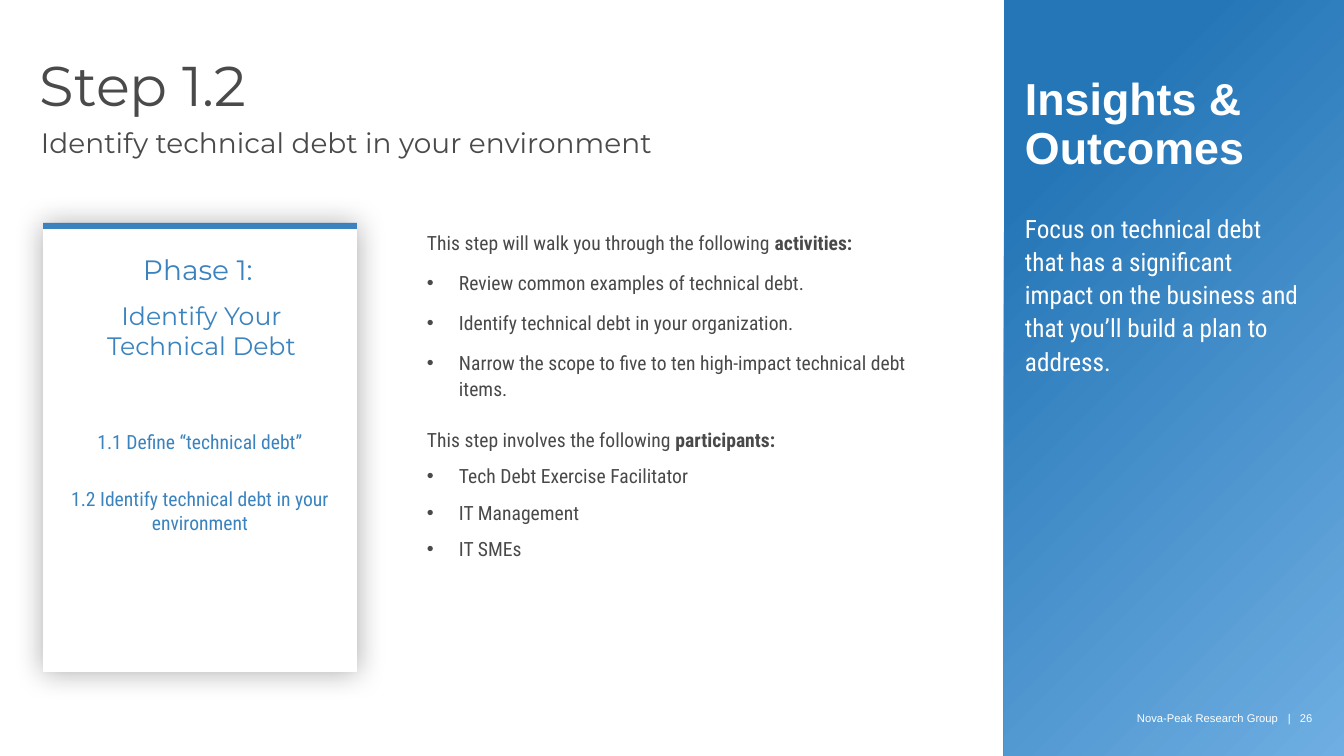
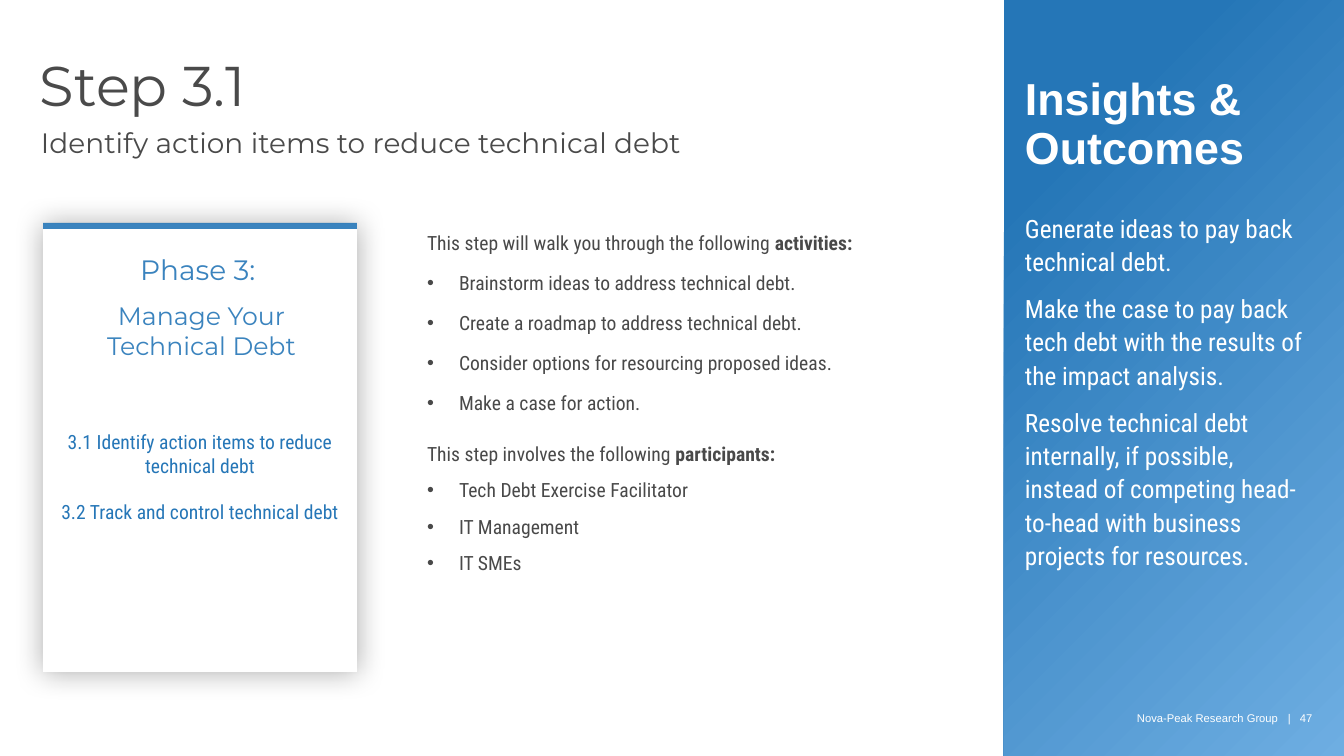
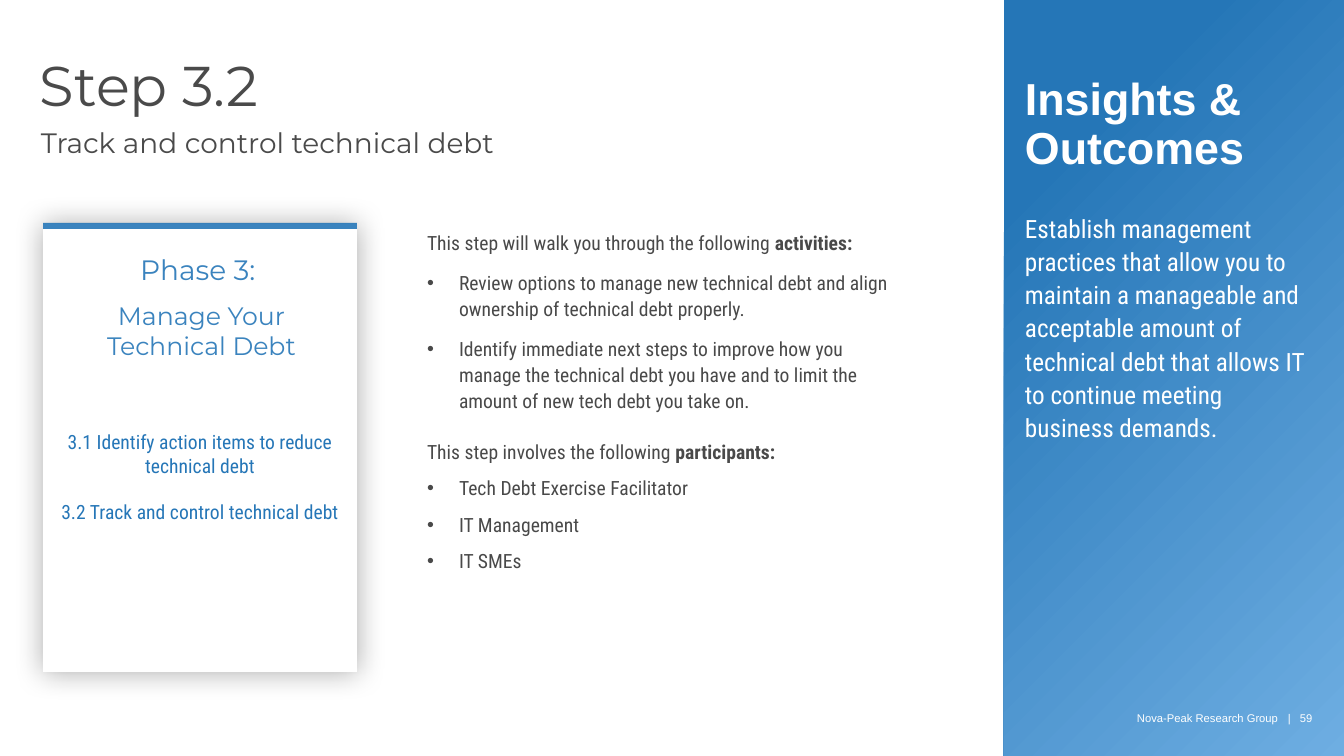
import dataclasses

import lxml.etree
import pptx
import pptx.dml.color
import pptx.enum.shapes
import pptx.enum.text
import pptx.oxml.ns
import pptx.util

EMU_PER_PX = 9075
LEFT = pptx.enum.text.PP_ALIGN.LEFT
CENTER = pptx.enum.text.PP_ALIGN.CENTER


@dataclasses.dataclass(frozen=True)
class Theme:
    # Colours
    blue: str = "2576B7"
    light_blue: str = "6EAEE2"
    soft_blue: str = "3A83BE"
    heading: str = "4A4A4A"
    body: str = "494949"
    white: str = "FFFFFF"
    shadow: str = "000000"
    # Fonts
    display_font: str = "Montserrat"
    text_font: str = "Roboto Condensed"
    panel_font: str = "Arial"
    # Type sizes in points
    title_size: int = 40
    panel_title_size: int = 32
    subtitle_size: int = 20
    lead_size: int = 18
    body_size: int = 14
    footer_size: int = 8


THEME = Theme()


@dataclasses.dataclass(frozen=True)
class TextStyle:
    font: str
    size: int
    color: str
    bold: bool = False
    opacity: int = 100
    align: object = LEFT
    line_spacing: object = 1.0
    before: float = 0
    after: float = 0
    bullet: bool = False
    tabs: tuple = ()


TITLE = TextStyle(THEME.display_font, THEME.title_size, THEME.heading, line_spacing=0.9)
SUBTITLE = dataclasses.replace(TITLE, size=THEME.subtitle_size)
PANEL_TITLE = TextStyle(THEME.panel_font, THEME.panel_title_size, THEME.white,
                        bold=True, line_spacing=0.9)
PANEL_TEXT = TextStyle(THEME.text_font, THEME.lead_size, THEME.white,
                       line_spacing=1.1, before=10)
PHASE = TextStyle(THEME.display_font, THEME.subtitle_size, THEME.blue, opacity=90,
                  align=CENTER, line_spacing=0.8)
PHASE_NAME = dataclasses.replace(PHASE, size=THEME.lead_size, line_spacing=1.0, before=10)
TOPIC = TextStyle(THEME.text_font, THEME.body_size, THEME.blue, align=CENTER)
INTRO = TextStyle(THEME.text_font, THEME.body_size, THEME.body, line_spacing=1.1)
SECOND_INTRO = dataclasses.replace(INTRO, before=18)
ACTIVITY = dataclasses.replace(INTRO, before=10, bullet=True)
PARTICIPANT = dataclasses.replace(ACTIVITY, line_spacing=pptx.util.Pt(16))
FOOTER = TextStyle(THEME.panel_font, THEME.footer_size, THEME.white, tabs=(151, 163))


@dataclasses.dataclass(frozen=True)
class Step:
    number: str
    subtitle: str
    phase: str
    phase_name: str
    topics: tuple
    activities: tuple
    insights: tuple
    page: int
    body_width: int = 481
    topic_color: str = THEME.blue
    topic_gap: float = 16.4


PARTICIPANTS = ("Tech Debt Exercise Facilitator", "IT Management", "IT SMEs")
MANAGE_TOPICS = ("3.1 Identify action items to reduce technical debt",
                 "3.2 Track and control technical debt")

STEPS = (
    Step(
        "1.2", "Identify technical debt in your environment",
        "Phase 1: ", "Identify Your Technical Debt",
        ("1.1 Define “technical debt”",
         "1.2 Identify technical debt in your environment"),
        ("Review common examples of technical debt.",
         "Identify technical debt in your organization.",
         "Narrow the scope to five to ten high-impact technical debt items."),
        ("Focus on technical debt that has a significant impact on the business "
         "and that you’ll build a plan to address.",),
        26, body_width=513, topic_color=THEME.soft_blue, topic_gap=24),
    Step(
        "3.1", "Identify action items to reduce technical debt",
        "Phase 3: ", "Manage Your Technical Debt", MANAGE_TOPICS,
        ("Brainstorm ideas to address technical debt.",
         "Create a roadmap to address technical debt.",
         "Consider options for resourcing proposed ideas.",
         "Make a case for action."),
        ("Generate ideas to pay back technical debt.",
         "Make the case to pay back tech debt with the results of the impact analysis.",
         "Resolve technical debt internally, if possible, instead of competing "
         "head-to-head with business projects for resources."),
        47),
    Step(
        "3.2", "Track and control technical debt",
        "Phase 3: ", "Manage Your Technical Debt", MANAGE_TOPICS,
        ("Review options to manage new technical debt and align ownership of "
         "technical debt properly.",
         "Identify immediate next steps to improve how you manage the technical debt "
         "you have and to limit the amount of new tech debt you take on."),
        ("Establish management practices that allow you to maintain a manageable and "
         "acceptable amount of technical debt that allows IT to continue meeting "
         "business demands.",),
        59),
)


# Helpers
def px(length):
    return pptx.util.Emu(length * EMU_PER_PX)


def rgb(color):
    return pptx.dml.color.RGBColor.from_string(color)


def add_xml(parent, tag, **attributes):
    element = lxml.etree.SubElement(parent, pptx.oxml.ns.qn(tag))
    for name, value in attributes.items():
        element.set(name, str(value))
    return element


def set_opacity(element, percent):
    for color in element.iter(pptx.oxml.ns.qn("a:srgbClr")):
        add_xml(color, "a:alpha", val=percent * 1000)


# Text
def format_paragraph(paragraph, style, first):
    paragraph.alignment = style.align
    paragraph.line_spacing = style.line_spacing
    paragraph.space_before = pptx.util.Pt(0 if first else style.before)
    paragraph.space_after = pptx.util.Pt(style.after)
    properties = paragraph._p.get_or_add_pPr()
    if style.bullet:
        properties.set("marL", str(px(32)))
        properties.set("indent", str(px(-32)))
        add_xml(properties, "a:buFont", typeface="Arial")
        add_xml(properties, "a:buChar", char="•")
    if style.tabs:
        tab_list = add_xml(properties, "a:tabLst")
        for position in style.tabs:
            add_xml(tab_list, "a:tab", pos=px(position), algn="l")


def add_run(paragraph, text, style, bold):
    run = paragraph.add_run()
    run.text = text
    run.font.name = style.font
    run.font.size = pptx.util.Pt(style.size)
    run.font.bold = bold
    run.font.color.rgb = rgb(style.color)
    if style.opacity < 100:
        set_opacity(run._r, style.opacity)


def write_text(shape, *paragraphs):
    """Each paragraph is a style, its text and an optional bold ending."""
    frame = shape.text_frame
    frame.word_wrap = True
    frame.auto_size = pptx.enum.text.MSO_AUTO_SIZE.NONE
    frame.vertical_anchor = pptx.enum.text.MSO_ANCHOR.TOP
    frame.margin_left = frame.margin_right = frame.margin_top = frame.margin_bottom = 0
    for index, (style, text, *bold_ending) in enumerate(paragraphs):
        paragraph = frame.add_paragraph() if index else frame.paragraphs[0]
        format_paragraph(paragraph, style, first=index == 0)
        add_run(paragraph, text, style, style.bold)
        for ending in bold_ending:
            add_run(paragraph, ending, style, True)


def add_text(shapes, box, *paragraphs):
    write_text(shapes.add_textbox(*map(px, box)), *paragraphs)


# Shapes
def add_rectangle(shapes, box):
    rectangle = shapes.add_shape(pptx.enum.shapes.MSO_SHAPE.RECTANGLE, *map(px, box))
    rectangle.shadow.inherit = False
    rectangle.line.fill.background()
    return rectangle


def fill_solid(shape, color):
    shape.fill.solid()
    shape.fill.fore_color.rgb = rgb(color)


def add_soft_shadow(shape):
    effects = shape._element.spPr.find(pptx.oxml.ns.qn("a:effectLst"))
    shadow = add_xml(effects, "a:outerShdw", blurRad=pptx.util.Pt(21), dist=0, dir=0,
                     algn="ctr", rotWithShape=0)
    add_xml(shadow, "a:srgbClr", val=THEME.shadow)
    set_opacity(shadow, 32)


# Slide parts
def add_heading(slide, step):
    title = slide.shapes.title
    title.left, title.top, title.width, title.height = map(px, (40, 58, 934, 57))
    write_text(title, (TITLE, f"Step {step.number}"))
    add_text(slide.shapes, (41, 129, 687, 50), (SUBTITLE, step.subtitle))


def add_insights_panel(slide, step):
    panel = add_rectangle(slide.shapes, (1004, 0, 340, 756))
    panel.fill.gradient()
    panel.fill.gradient_angle = 315
    stops = ((0.19, THEME.blue), (1, THEME.light_blue))
    for stop, (position, color) in zip(panel.fill.gradient_stops, stops):
        stop.position = position
        stop.color.rgb = rgb(color)
    add_text(slide.shapes, (1025, 77, 280, 52), (PANEL_TITLE, "Insights & Outcomes"))
    add_text(slide.shapes, (1025, 210, 280, 356),
             *[(PANEL_TEXT, insight) for insight in step.insights])
    add_text(slide.shapes, (1137, 711, 200, 13),
             (FOOTER, f"Nova-Peak Research Group\t|\t{step.page}"))


def add_phase_card(slide, step):
    shapes = slide.shapes.add_group_shape().shapes
    card = add_rectangle(shapes, (43, 224, 314, 448))
    fill_solid(card, THEME.white)
    add_soft_shadow(card)
    accent = add_rectangle(shapes, (43, 223, 314, 6))
    fill_solid(accent, THEME.blue)
    set_opacity(accent._element.spPr, 90)
    add_text(shapes, (60, 259, 283, 141),
             (PHASE, step.phase), (PHASE_NAME, step.phase_name))
    topic_style = dataclasses.replace(TOPIC, color=step.topic_color, after=step.topic_gap)
    add_text(shapes, (57, 430, 286, 190),
             *[(topic_style, topic) for topic in step.topics])


def add_step_body(slide, step):
    add_text(
        slide.shapes, (427, 229, step.body_width, 450),
        (INTRO, "This step will walk you through the following ", "activities:"),
        *[(ACTIVITY, activity) for activity in step.activities],
        (SECOND_INTRO, "This step involves the following ", "participants:"),
        *[(PARTICIPANT, participant) for participant in PARTICIPANTS])


def main():
    presentation = pptx.Presentation()
    presentation.slide_width = px(1344)
    presentation.slide_height = px(756)
    title_only = presentation.slide_layouts.get_by_name("Title Only")
    for step in STEPS:
        slide = presentation.slides.add_slide(title_only)
        add_heading(slide, step)
        add_insights_panel(slide, step)
        add_phase_card(slide, step)
        add_step_body(slide, step)
    presentation.save("out.pptx")


if __name__ == "__main__":
    main()
